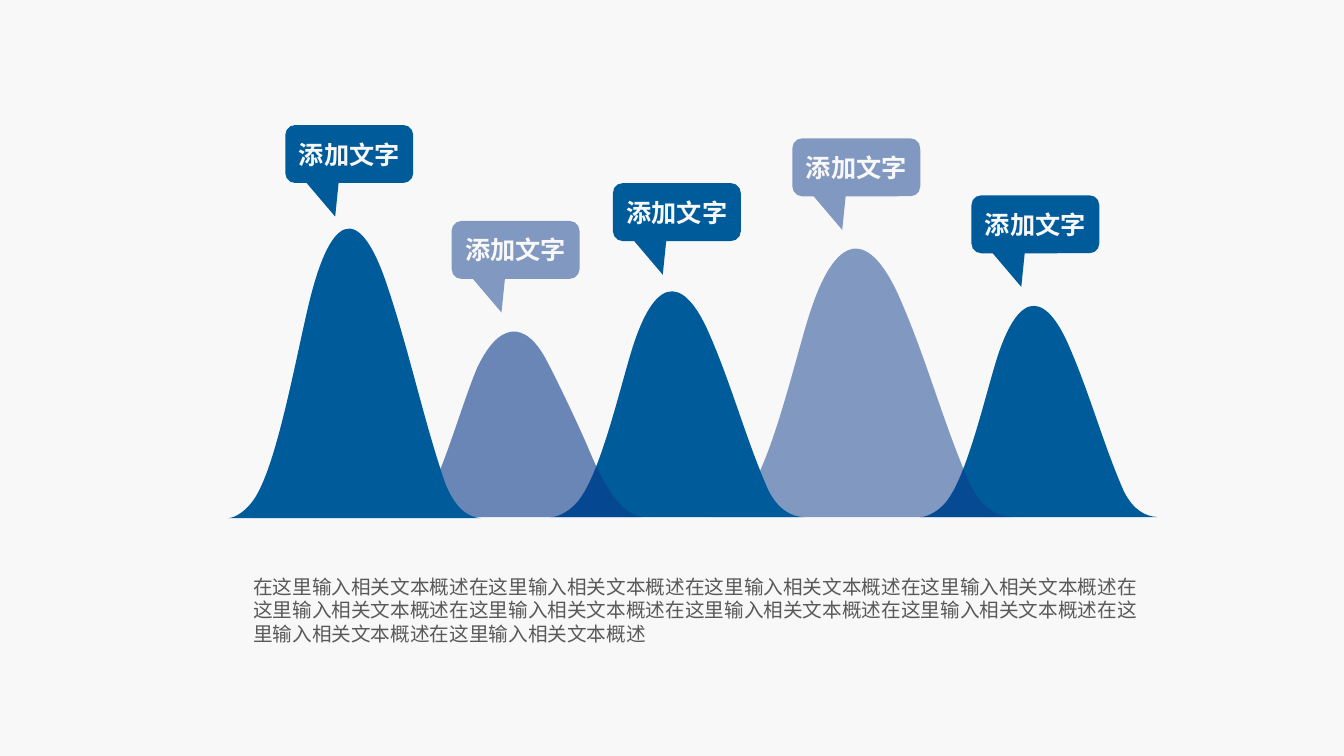
from lxml import etree
from pptx import Presentation
from pptx.dml import color as c
from pptx.enum import shapes, text
from pptx.oxml import ns
from pptx.util import Pt

COLORS = {"back": "F8F8F8", "blue": "005B9A", "navy": "0B3A8C", "gray": "595959"}
FONT = "Noto Sans CJK SC"


def paint(shape, color, alpha):
    shape.shadow.inherit = False
    shape.line.fill.background()
    shape.fill.solid()
    shape.fill.fore_color.rgb = c.RGBColor.from_string(COLORS[color])
    if alpha < 100:
        tint = shape._element.spPr.find(".//" + ns.qn("a:srgbClr"))
        etree.SubElement(tint, ns.qn("a:alpha"), val=str(alpha * 1000))


def write(shape, words, size, color, bold=False):
    shape.text_frame.word_wrap = True
    para = shape.text_frame.paragraphs[0]
    para.text = words
    font = para.runs[0].font
    font.name, font.size, font.bold = FONT, Pt(size), bold
    font.color.rgb = c.RGBColor.from_string(COLORS[color])
    etree.SubElement(font._element, ns.qn("a:ea"), typeface=FONT)
    return para


deck = Presentation()
deck.slide_width, deck.slide_height = Pt(960), Pt(540)
page = deck.slides.add_slide(deck.slide_layouts[6])
page.background.fill.solid()
page.background.fill.fore_color.rgb = c.RGBColor.from_string(COLORS["back"])

# Hill outlines: start, then three Bézier points per curve, in percent of the frame
tall = [(0, 100), (2.9, 100), (8.9, 97.4), (12.8, 90.7),
        (20.8, 77.7), (27.8, 46.7), (32.3, 32.3),
        (42.4, 0), (54.1, 5.6), (63.4, 28.4),
        (72, 48.7), (77.5, 69.7), (86, 89.2),
        (90, 97.1), (95, 99.7), (100, 100)]
small = [(0, 100), (0, 99), (0, 99), (0, 99),
         (8, 100), (14.3, 93.4), (18.3, 82.7),
         (23.4, 69), (30.2, 39.6), (34.9, 25.4),
         (43.3, 2), (54, 0), (62.7, 21.8),
         (67.1, 32.5), (75, 53.8), (78.6, 64.5),
         (86.1, 87.8), (92.5, 98.5), (100, 100)]

# Hills, back to front: outline, left, top, width, height, color, opacity
hills = [
    (tall, 657.4, 202.3, 169.2, 167, "blue", 100),
    (tall, 508.5, 157, 214.6, 212.4, "navy", 50),
    (tall, 393.4, 190.8, 180.7, 178.6, "blue", 100),
    (small, 277.2, 227.5, 181.4, 141.9, "navy", 60),
    (tall, 162.7, 141.1, 180.7, 229, "blue", 100),
]
for outline, left, top, width, height, color, alpha in hills:
    knots = [(Pt(left + x * width / 100), Pt(top + y * height / 100))
             for x, y in outline]
    pen = page.shapes.build_freeform(*knots[0])
    pen.add_line_segments(knots[1:] + knots[:1], close=True)
    hill = pen.convert_to_shape()
    # Join each three line points into one curve; the last line is the base
    lines = list(hill._element.iter(ns.qn("a:lnTo")))[:-1]
    for first in range(0, len(lines), 3):
        curve = etree.Element(ns.qn("a:cubicBezTo"))
        lines[first].addprevious(curve)
        for line in lines[first:first + 3]:
            curve.append(line[0])
            line.getparent().remove(line)
    paint(hill, color, alpha)

# Callouts above the peaks
callouts = [(203.8, 89.3, "blue", 100), (322.6, 157.8, "navy", 50),
            (437.8, 130.8, "blue", 100), (566, 98.8, "navy", 50),
            (693.9, 139.5, "blue", 100)]
for left, top, color, alpha in callouts:
    box = page.shapes.add_shape(shapes.MSO_SHAPE.ROUNDED_RECTANGULAR_CALLOUT,
                                Pt(left), Pt(top), Pt(91.4), Pt(41.4))
    for index, value in enumerate((-0.11, 1.08, 0.17)):
        box.adjustments[index] = value
    paint(box, color, alpha)
    box.text_frame.vertical_anchor = text.MSO_ANCHOR.MIDDLE
    write(box, "添加文字", 18, "back", True).alignment = text.PP_ALIGN.CENTER

# Description
box = page.shapes.add_textbox(Pt(173.8), Pt(406.8), Pt(653), Pt(61.2))
para = write(box, "在这里输入相关文本概述" * 10, 14, "gray")
para.line_spacing = Pt(16.8)

deck.save("out.pptx")
